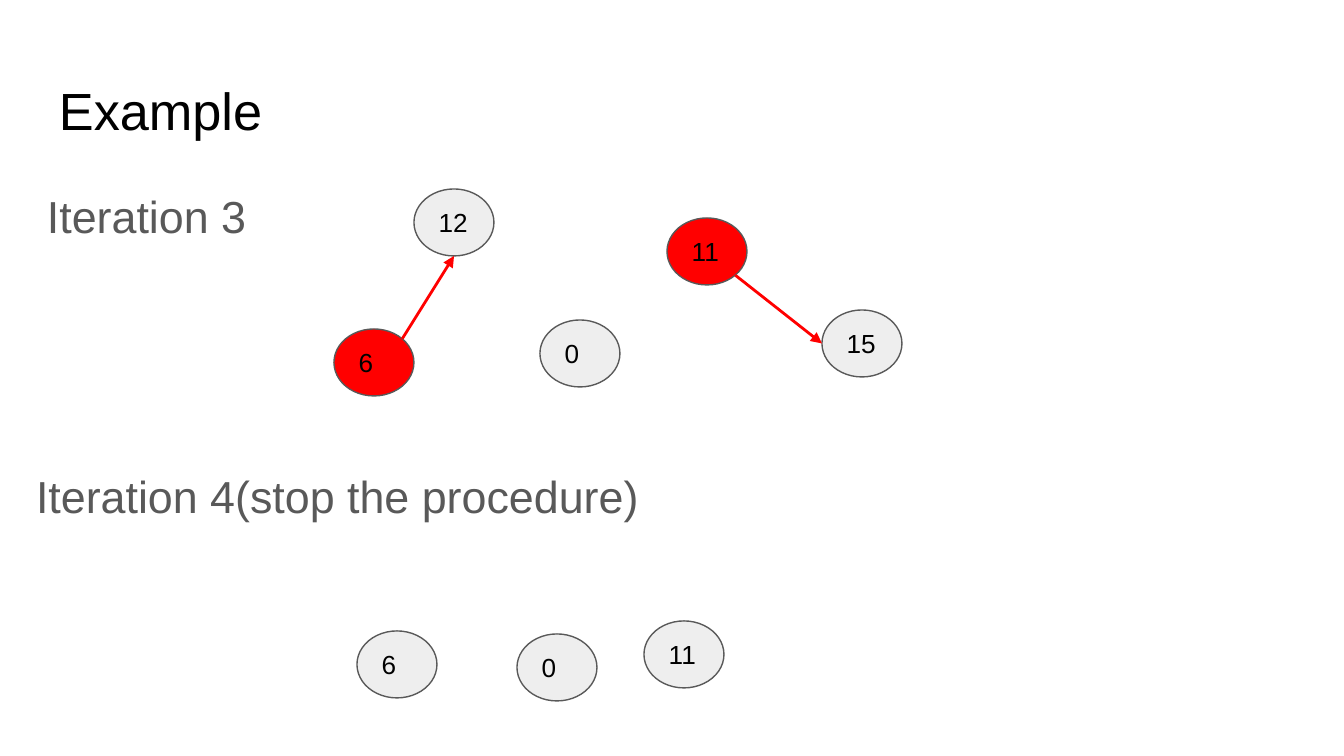
from pptx import Presentation
from pptx.dml.color import RGBColor
from pptx.enum.shapes import MSO_CONNECTOR as Connector, MSO_SHAPE as Shape
from pptx.enum.text import MSO_ANCHOR as Anchor, PP_ALIGN as Align
from pptx.oxml.ns import qn
from pptx.util import Emu, Pt
from lxml.etree import SubElement

SCALE = 914400 / 134.4
BLACK, GRAY, LIGHT, RED = "000000", "595959", "EEEEEE", "FF0000"
NODE_WIDTH, NODE_HEIGHT = 80, 67
DIAGONAL = 0.5 ** 0.5


def px(value):
    return Emu(round(value * SCALE))


def color(value):
    return RGBColor.from_string(value)


class GraphSlide:
    font = "Arial"
    inset = 13

    def __init__(self, presentation):
        self.slide = presentation.slides.add_slide(presentation.slide_layouts[6])

    def add_text(self, shape, text, size, ink, anchor):
        frame = shape.text_frame
        frame.word_wrap = True
        frame.vertical_anchor = anchor
        frame.margin_left = frame.margin_right = px(self.inset)
        frame.margin_top = frame.margin_bottom = px(self.inset)
        paragraph = frame.paragraphs[0]
        paragraph.alignment = Align.LEFT
        run = paragraph.add_run()
        run.text = text
        run.font.name = self.font
        run.font.size = Pt(size)
        run.font.color.rgb = color(ink)
        return paragraph

    def label(self, text, left, top, width, height, size, ink):
        box = self.slide.shapes.add_textbox(px(left), px(top), px(width), px(height))
        return self.add_text(box, text, size, ink, Anchor.TOP)

    def heading(self, text, left, top, width):
        paragraph = self.label(text, left, top, width, 95, 24, GRAY)
        paragraph.line_spacing = 1.15
        paragraph.space_after = Pt(16)

    def node(self, text, left, top, fill):
        shape = self.slide.shapes.add_shape(
            Shape.OVAL, px(left), px(top), px(NODE_WIDTH), px(NODE_HEIGHT))
        shape.shadow.inherit = False
        shape.fill.solid()
        shape.fill.fore_color.rgb = color(fill)
        shape.line.color.rgb = color(GRAY)
        shape.line.width = Pt(0.75)
        self.add_text(shape, text, 14, BLACK, Anchor.MIDDLE)

    def arrow(self, start, end):
        connector = self.slide.shapes.add_connector(
            Connector.STRAIGHT, *map(px, start), *map(px, end))
        connector.line.color.rgb = color(RED)
        connector.line.width = Pt(1.5)
        SubElement(connector.get_or_add_ln(), qn("a:tailEnd"), type="triangle")
        SubElement(connector._element.spPr, qn("a:effectLst"))


def rim(node, across, down):
    text, left, top, fill = node
    return (left + NODE_WIDTH * (1 + across) / 2,
            top + NODE_HEIGHT * (1 + down) / 2)


presentation = Presentation()
presentation.slide_width, presentation.slide_height = px(1344), px(756)
graph = GraphSlide(presentation)

six, eleven = ("6", 334, 329, RED), ("11", 667, 218, RED)
twelve, fifteen = ("12", 414, 189, LIGHT), ("15", 822, 310, LIGHT)
third_iteration = [six, ("0", 540, 320, LIGHT), eleven, fifteen, twelve]
fourth_iteration = [("6", 357, 631, LIGHT), ("0", 517, 634, LIGHT), ("11", 644, 621, LIGHT)]

graph.label("Example", 46, 65, 1252, 84, 28, BLACK)
for node in third_iteration:
    graph.node(*node)
graph.heading("Iteration 3", 34, 168, 309)
graph.arrow(rim(six, DIAGONAL, -DIAGONAL), rim(twelve, 0, 1))
graph.arrow(rim(eleven, DIAGONAL, DIAGONAL), rim(fifteen, -1, 0))
graph.heading("Iteration 4(stop the procedure)", 23, 448, 800)
for node in fourth_iteration:
    graph.node(*node)

presentation.save("out.pptx")
